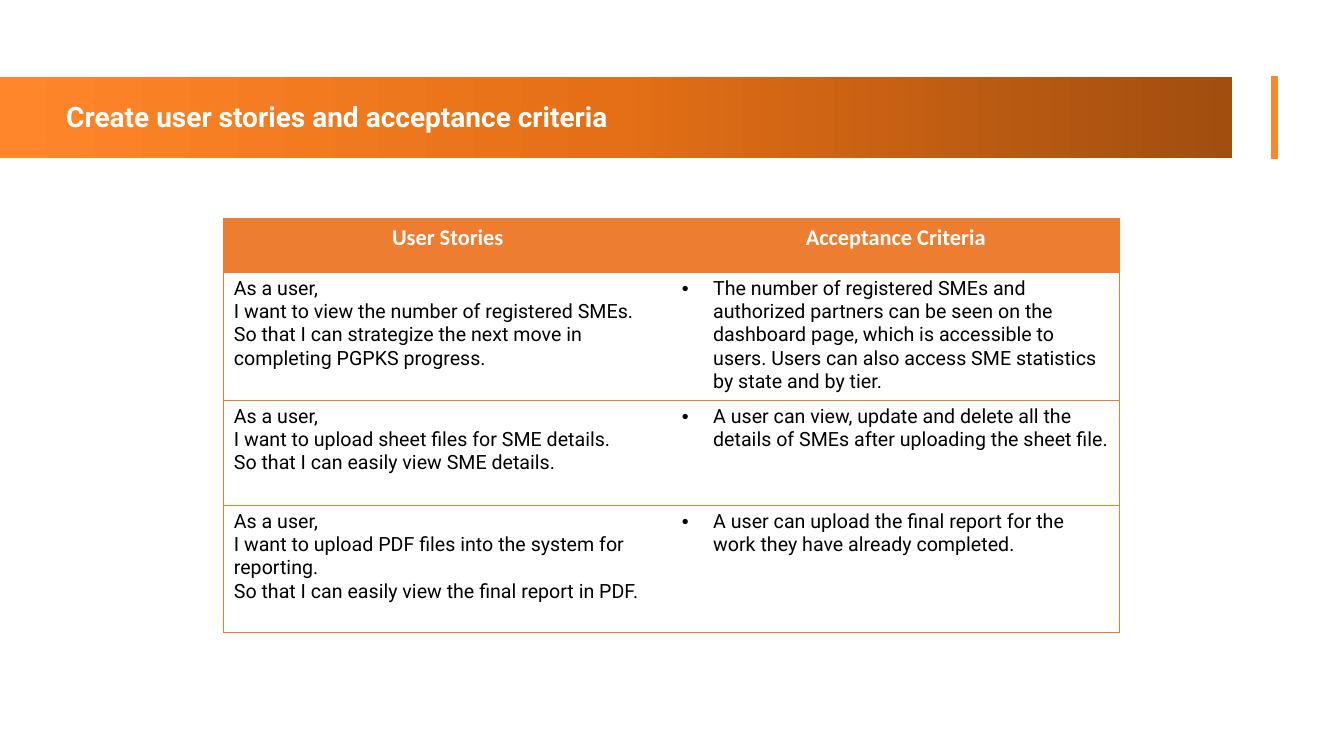
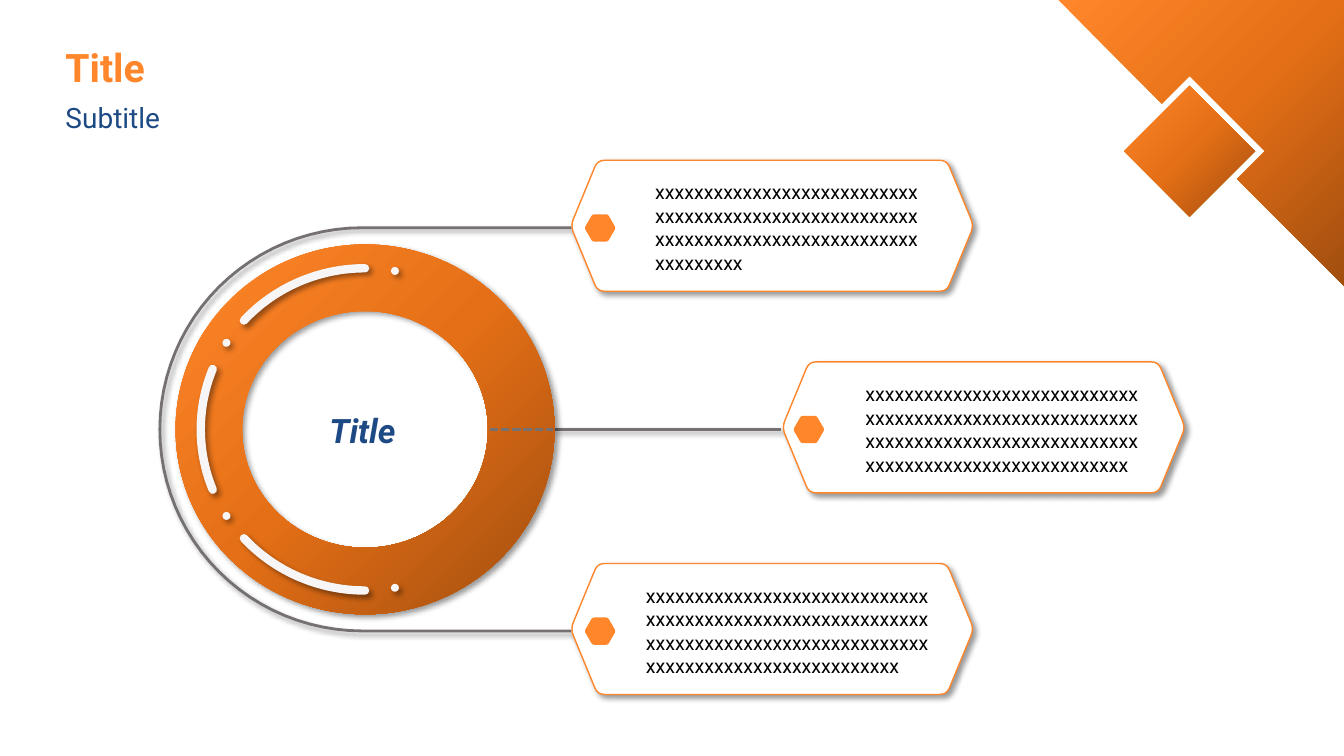
import math

from lxml import etree
from copy import deepcopy
from pptx import Presentation, util as u
from pptx.dml.color import RGBColor
from pptx.enum import dml, shapes, text
from pptx.oxml import ns

ORANGE, MID_ORANGE, BROWN = "FF862A", "E46F16", "A14E0F"
TABLE_ORANGE, NAVY, GREY = "ED7D31", "1D4A84", "767171"
WHITE, OFF_WHITE, BLACK = "FFFFFF", "F7F5F6", "000000"
GRADIENT = [(ORANGE, 0), (MID_ORANGE, 0.5), (BROWN, 1)]
SLIDE_WIDTH, SLIDE_HEIGHT = 33.87, 19.05

STORIES = [
    (3.22, ["As a user,", "I want to view the number of registered SMEs.",
            "So that I can strategize the next move in completing PGPKS progress."],
     "The number of registered SMEs and authorized partners can be seen on the dashboard page, "
     "which is accessible to users. Users can also access SME statistics by state and by tier."),
    (2.65, ["As a user,", "I want to upload sheet files for SME details.",
            "So that I can easily view SME details."],
     "A user can view, update and delete all the details of SMEs after uploading the sheet file."),
    (3.2, ["As a user,", "I want to upload PDF files into the system for reporting.",
           "So that I can easily view the final report in PDF."],
     "A user can upload the final report for the work they have already completed."),
]

RING_CENTER = (9.2, 10.82)
ARC_RADII = (4.14, 4.06)
BRANCH_GAP = 5.08


def color(value):
    """Turn a hex string into a colour."""
    return RGBColor.from_string(value)


def add_element(parent, tag, **attributes):
    """Append an XML element with the given attributes."""
    element = etree.SubElement(parent, ns.qn(tag))
    for name, value in attributes.items():
        element.set(name, str(value))
    return element


def write(frame, content, size=14, font="Roboto", fill=BLACK, bold=False, italic=False,
          align=text.PP_ALIGN.LEFT, bullet=False):
    """Write one line or a list of lines into a text frame."""
    lines = [content] if isinstance(content, str) else content
    for index, line in enumerate(lines):
        paragraph = frame.add_paragraph() if index else frame.paragraphs[0]
        if bullet:
            properties = paragraph._p.get_or_add_pPr()
            properties.set("marL", str(u.Cm(0.79)))
            properties.set("indent", str(u.Cm(-0.79)))
            add_element(properties, "a:buFont", typeface="Arial")
            add_element(properties, "a:buChar", char="•")
        paragraph.alignment = align
        run = paragraph.add_run()
        run.text = line
        run.font.size, run.font.name = u.Pt(size), font
        run.font.bold, run.font.italic = bold, italic
        run.font.color.rgb = color(fill)


def add_text(slide, left, top, width, height, content, wrap=True, **style):
    """Add a text box."""
    box = slide.shapes.add_textbox(*map(u.Cm, (left, top, width, height)))
    box.text_frame.word_wrap = wrap
    write(box.text_frame, content, **style)


def add_shadow(effects):
    """Put a soft shadow towards the lower right into an effect list."""
    shadow = add_element(effects, "a:outerShdw", blurRad=u.Pt(4), dist=u.Pt(3), dir=45 * 60000,
                         algn="tl", rotWithShape=0)
    add_element(add_element(shadow, "a:srgbClr", val=BLACK), "a:alpha", val=40000)


def paint(shape, fill=None, line=None, width=1, angle=None, shadow=False):
    """Set fill or gradient angle, outline and shadow of a shape."""
    if angle is not None:
        shape.fill.gradient()
        shape.fill.gradient_angle = -angle % 360
        stops = shape._element.spPr.find(ns.qn("a:gradFill")).find(ns.qn("a:gsLst"))
        stops.insert(1, deepcopy(stops[0]))
        for stop, (value, position) in zip(shape.fill.gradient_stops, GRADIENT):
            stop.color.rgb, stop.position = color(value), position
    elif fill:
        shape.fill.solid()
        shape.fill.fore_color.rgb = color(fill)
    else:
        shape.fill.background()
    if line:
        shape.line.color.rgb = color(line)
        shape.line.width = u.Pt(width)
    else:
        shape.line.fill.background()
    shape.shadow.inherit = False
    if shadow:
        add_shadow(shape._element.spPr.find(ns.qn("a:effectLst")))
    return shape


def add_shape(slide, kind, left, top, width, height, **style):
    """Add a painted preset shape."""
    return paint(slide.shapes.add_shape(kind, *map(u.Cm, (left, top, width, height))), **style)


def add_outline(slide, points, close=True, **style):
    """Add a painted freeform through the points."""
    start, *others = [(u.Cm(x), u.Cm(y)) for x, y in points]
    builder = slide.shapes.build_freeform(*start)
    builder.add_line_segments(others, close=close)
    return paint(builder.convert_to_shape(), **style)


def add_line(slide, start, end, dash=None, shadow=False):
    """Add a grey straight connector."""
    connector = slide.shapes.add_connector(shapes.MSO_CONNECTOR.STRAIGHT,
                                           *map(u.Cm, (*start, *end)))
    connector.line.color.rgb = color(GREY)
    connector.line.width = u.Pt(2)
    if dash:
        connector.line.dash_style = dash
    effects = add_element(connector._element.spPr, "a:effectLst")
    if shadow:
        add_shadow(effects)


def polar(center, radii, degrees):
    """Return the point of an ellipse at an anticlockwise angle."""
    angle = math.radians(degrees)
    return center[0] + radii[0] * math.cos(angle), center[1] - radii[1] * math.sin(angle)


def arc(center, radii, start, end, steps=48):
    """Return points along an elliptical arc."""
    return [polar(center, radii, start + (end - start) * step / steps)
            for step in range(steps + 1)]


def add_hexagon(slide, left, top, width, height, notch, cut, **style):
    """Add a flat hexagon whose corners are rounded over the cut length."""
    right, bottom, middle = left + width, top + height, top + height / 2
    corners = [(left, middle), (left + notch, top), (right - notch, top),
               (right, middle), (right - notch, bottom), (left + notch, bottom)]
    points = []
    for index, corner in enumerate(corners):
        before, after = corners[index - 1], corners[(index + 1) % 6]
        start, end = [[c + (n - c) * cut / math.dist(corner, neighbor)
                       for c, n in zip(corner, neighbor)] for neighbor in (before, after)]
        for t in (0, 0.25, 0.5, 0.75, 1):
            points.append([(1 - t) ** 2 * s + 2 * t * (1 - t) * c + t * t * e
                           for s, c, e in zip(start, corner, end)])
    add_outline(slide, points, **style)


def set_borders(cell, sides):
    """Draw the named cell sides and clear the others."""
    properties = cell._tc.get_or_add_tcPr()
    for side in "LRTB":
        line = add_element(properties, f"a:ln{side}", w=u.Pt(0.5))
        if side in sides:
            add_element(add_element(line, "a:solidFill"), "a:srgbClr", val=TABLE_ORANGE)
        else:
            add_element(line, "a:noFill")


def add_story_table(slide):
    """Add the table of user stories and acceptance criteria."""
    heights = [1.35] + [height for height, *_ in STORIES]
    frame = slide.shapes.add_table(len(heights), 2, u.Cm(5.64), u.Cm(5.51),
                                   u.Cm(22.58), u.Cm(sum(heights)))
    table = frame.table
    table.first_row = table.horz_banding = False
    for row, height in zip(table.rows, heights):
        row.height = u.Cm(height)
        for cell, sides in zip(row.cells, ("LTB", "RTB")):
            set_borders(cell, sides)
            cell.fill.background()
    for cell, heading in zip(table.rows[0].cells, ("User Stories", "Acceptance Criteria")):
        cell.fill.solid()
        cell.fill.fore_color.rgb = color(TABLE_ORANGE)
        write(cell.text_frame, heading, size=16, font="Calibri", fill=WHITE, bold=True,
              align=text.PP_ALIGN.CENTER)
    for index, (_, story, criterion) in enumerate(STORIES, 1):
        write(table.cell(index, 0).text_frame, story)
        write(table.cell(index, 1).text_frame, criterion, bullet=True)


def add_corner(slide):
    """Add the triangle and diamonds in the top right corner."""
    leg = 7.2
    add_outline(slide, [(SLIDE_WIDTH - leg, 0), (SLIDE_WIDTH, leg), (SLIDE_WIDTH, 0)], angle=45)
    for size, style in ((3.76, {"fill": WHITE}), (3.3, {"angle": 45})):
        add_shape(slide, shapes.MSO_SHAPE.DIAMOND, 29.98 - size / 2, 3.81 - size / 2,
                  size, size, **style)


def add_ring(slide):
    """Add the ring with its highlights and centre title."""
    x, y = RING_CENTER
    width, height = 9.55, 9.32
    ring = add_shape(slide, shapes.MSO_SHAPE.DONUT, x - width / 2, y - height / 2,
                     width, height, angle=45, shadow=True)
    ring.adjustments[0] = 0.18
    for start, end in ((90, 137.5), (158, 202), (222.5, 270)):
        highlight = add_outline(slide, arc(RING_CENTER, ARC_RADII, start, end), close=False,
                                line=OFF_WHITE, width=6, shadow=True)
        highlight._element.spPr.find(ns.qn("a:ln")).set("cap", "rnd")
    for degrees in (79.5, 147.5, 212.5, 280.5):
        dot_x, dot_y = polar(RING_CENTER, ARC_RADII, degrees)
        add_shape(slide, shapes.MSO_SHAPE.OVAL, dot_x - 0.1, dot_y - 0.1, 0.2, 0.2,
                  fill=OFF_WHITE, shadow=True)
    add_text(slide, 6.76, 10.21, 4.75, 1.32, "Title", size=24, fill=NAVY, bold=True,
             italic=True, align=text.PP_ALIGN.CENTER)


def add_callout(slide, left, axis, bullet_left, text_left, text_width, content):
    """Add a hexagonal callout centred on a horizontal axis."""
    add_hexagon(slide, left, axis - 1.7, 10.16, 3.3, 0.68, 0.18,
                fill=WHITE, line=ORANGE, shadow=True)
    add_hexagon(slide, bullet_left, axis - 0.34, 0.79, 0.69, 0.2, 0.06, fill=ORANGE)
    add_text(slide, text_left, axis - 1.32, text_width, 2.64, content,
             align=text.PP_ALIGN.JUSTIFY)


def build_stories(slide):
    """Build the slide of user stories."""
    top, height = 1.93, 2.06
    add_shape(slide, shapes.MSO_SHAPE.RECTANGLE, 0, top, 31.04, height, angle=0)
    add_shape(slide, shapes.MSO_SHAPE.RECTANGLE, 32.05, top, 0.13, height,
              fill=ORANGE, line=ORANGE)
    add_text(slide, 1.42, 2.39, 28.22, 1.12, "Create user stories and acceptance criteria",
             size=20, fill=WHITE, bold=True)
    add_story_table(slide)


def build_diagram(slide):
    """Build the slide with a ring and three callouts."""
    middle = RING_CENTER[1]
    top, bottom = middle - BRANCH_GAP, middle + BRANCH_GAP
    track = arc((9.13, middle), (5.1, BRANCH_GAP), 90, 270)
    add_outline(slide, [(14.4, top), *track, (14.4, bottom)], close=False,
                line=GREY, width=2, shadow=True)
    add_line(slide, (13.94, middle), (19.69, middle), shadow=True)
    add_ring(slide)
    add_line(slide, (12.34, middle), (13.94, middle), dash=dml.MSO_LINE.SQUARE_DOT)
    add_callout(slide, 14.38, top, 14.73, 16.26, 7.29, "x" * 90)
    add_callout(slide, 19.71, middle, 19.99, 21.56, 7.57, "x" * 111)
    add_callout(slide, 14.38, bottom, 14.73, 16.03, 7.75, "x" * 113)
    add_text(slide, 1.4, 0.97, 2.54, 1.45, "Title", wrap=False, size=28, fill=ORANGE, bold=True)
    add_text(slide, 1.4, 2.41, 2.9, 1.12, "Subtitle", wrap=False, size=20, fill=NAVY)
    add_corner(slide)


def main():
    """Build and save the presentation."""
    presentation = Presentation()
    presentation.slide_width, presentation.slide_height = u.Cm(SLIDE_WIDTH), u.Cm(SLIDE_HEIGHT)
    for build in (build_stories, build_diagram):
        build(presentation.slides.add_slide(presentation.slide_layouts[6]))
    presentation.save("out.pptx")


if __name__ == "__main__":
    main()
